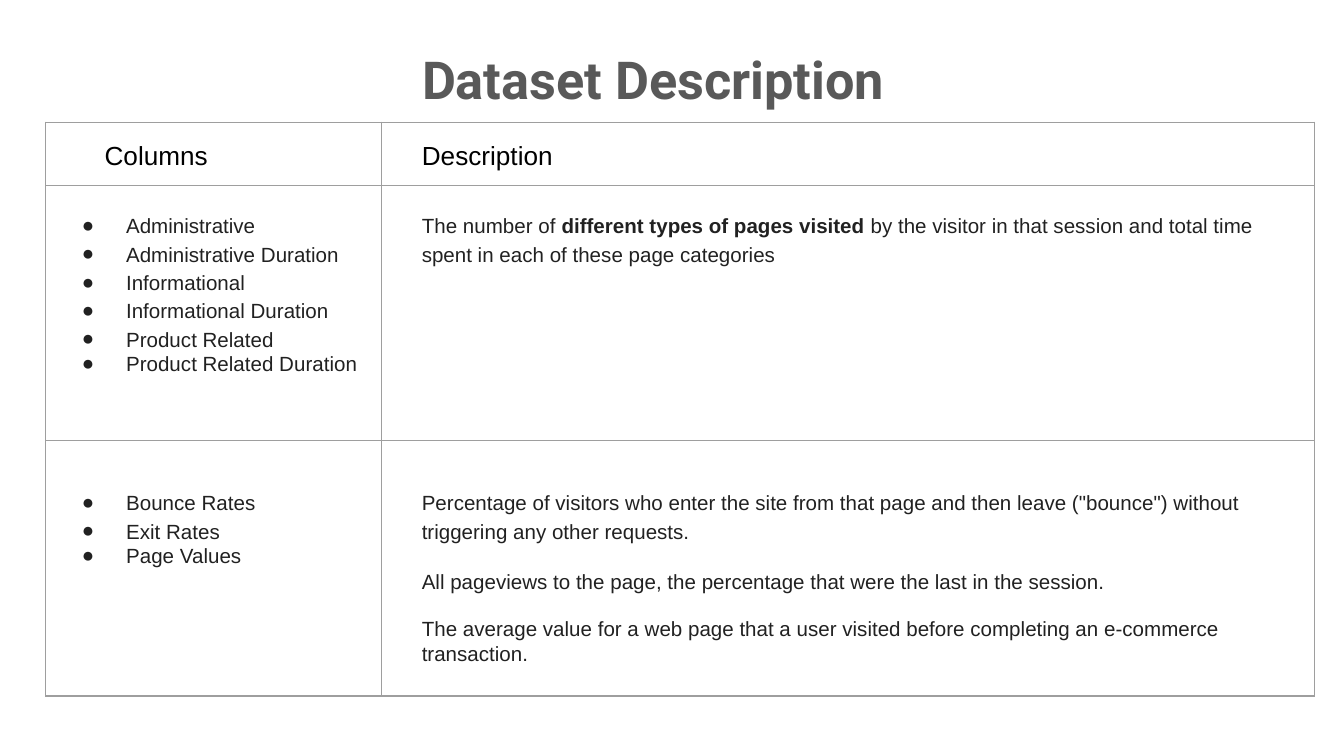
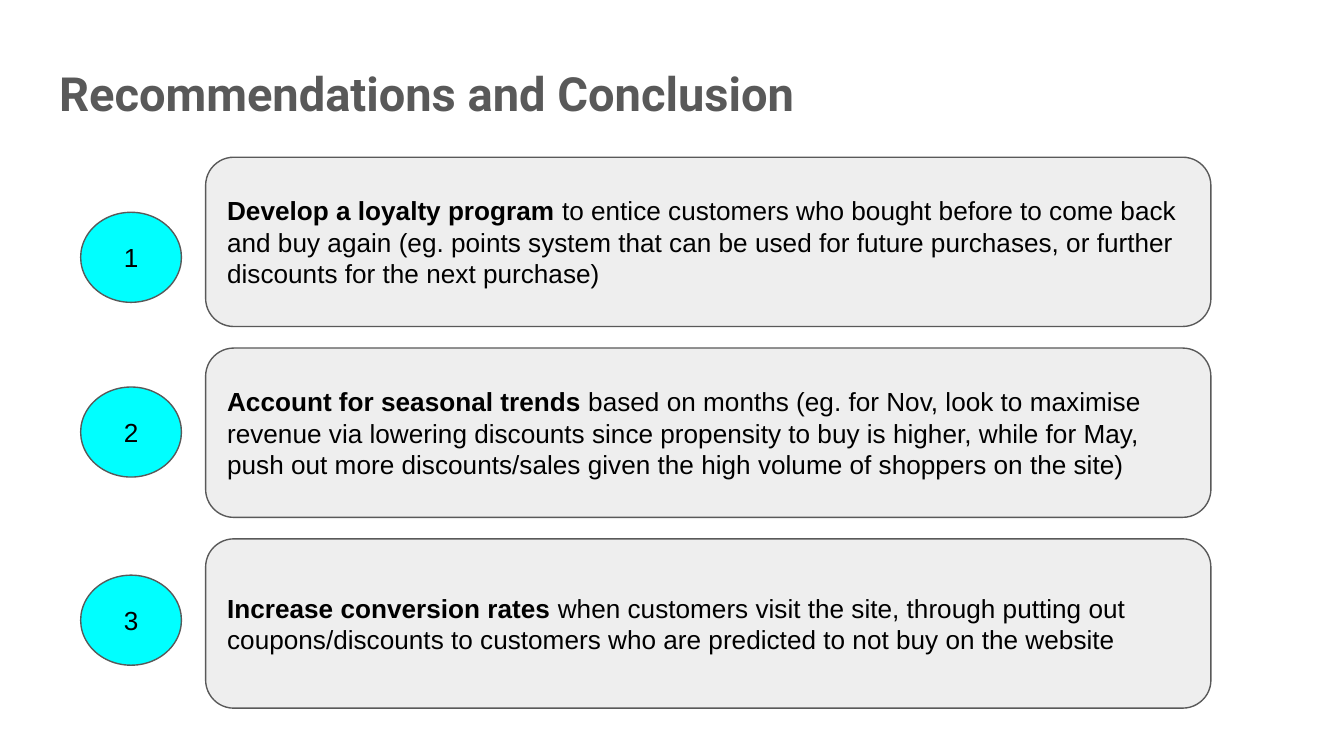
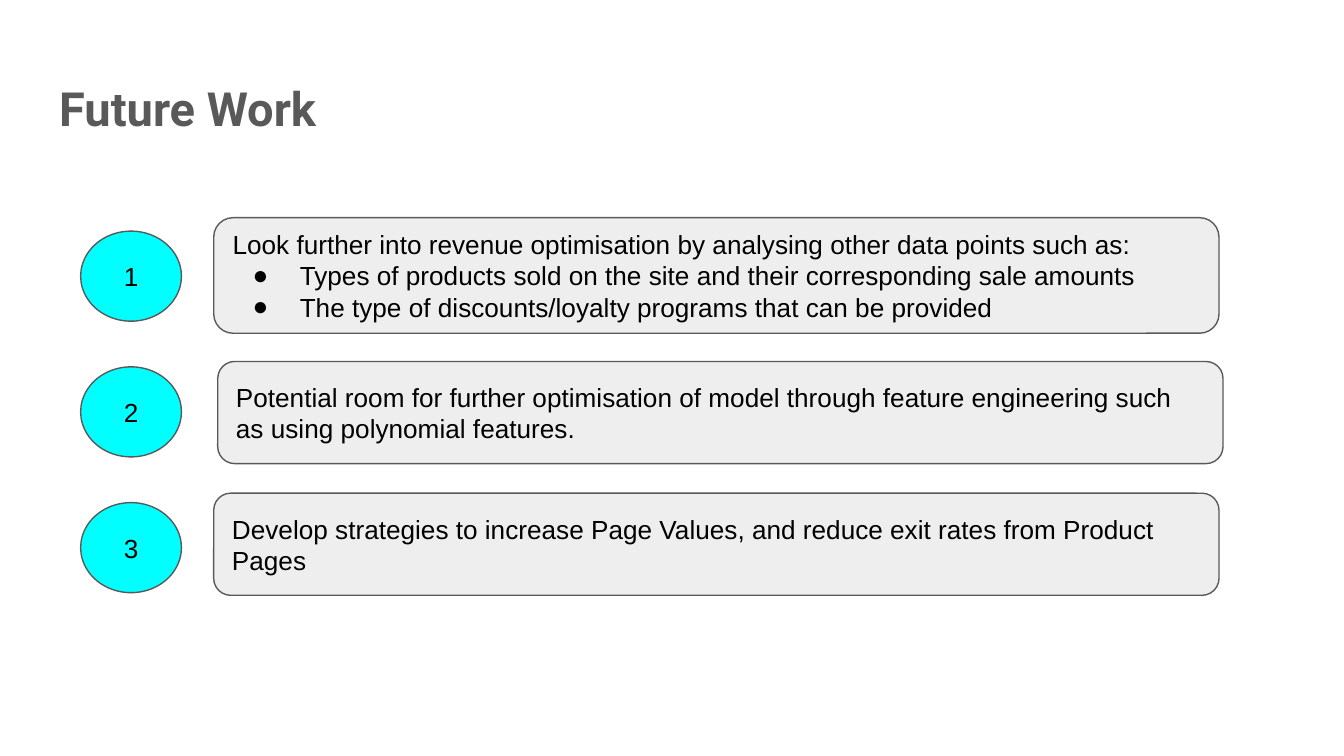
from lxml.etree import SubElement
from pptx import Presentation
from pptx.dml.color import RGBColor
from pptx.enum.shapes import MSO_SHAPE as Preset
from pptx.enum.text import MSO_ANCHOR as Anchor, MSO_AUTO_SIZE as AutoSize, PP_ALIGN as Align
from pptx.oxml.ns import qn
from pptx.util import Inches, Pt

WHITE = RGBColor(0xFF, 0xFF, 0xFF)
BLACK = RGBColor(0x00, 0x00, 0x00)
INK = RGBColor(0x21, 0x21, 0x21)
GRAY = RGBColor(0x59, 0x59, 0x59)
BORDER = RGBColor(0x9E, 0x9E, 0x9E)
PANEL = RGBColor(0xEE, 0xEE, 0xEE)
CYAN = RGBColor(0x00, 0xFF, 0xFF)
TITLE_FONT = "Roboto"
BODY_FONT = "Arial"


def add_solid(parent, tag, color):
    element = SubElement(parent, qn(tag))
    SubElement(element, qn("a:srgbClr"), val=str(color))
    return element


def write(paragraph, text, font=BODY_FONT, size=14, color=BLACK, bold=False,
          align=Align.LEFT, spacing=1.0, before=0, after=0, hanging=0):
    paragraph.alignment = align
    paragraph.line_spacing = spacing
    paragraph.space_before = Pt(before)
    paragraph.space_after = Pt(after)
    if hanging:
        properties = paragraph._p.get_or_add_pPr()
        properties.set("marL", str(Inches(0.5)))
        properties.set("indent", str(-Inches(hanging)))
        add_solid(properties, "a:buClr", color)
        SubElement(properties, qn("a:buFont"), typeface=BODY_FONT)
        SubElement(properties, qn("a:buChar"), char="●")
    for index, part in enumerate(text.split("**")):
        if part:
            run = paragraph.add_run()
            run.text = part
            run.font.name = font
            run.font.size = Pt(size)
            run.font.color.rgb = color
            run.font.bold = bold or index % 2 == 1


class Deck:
    def __init__(self):
        self.presentation = Presentation()
        self.presentation.slide_width = Inches(10)
        self.presentation.slide_height = Inches(10) * 9 // 16
        self.slide = None

    def add_slide(self):
        self.slide = self.presentation.slides.add_slide(self.presentation.slide_layouts[5])
        self.slide.background.fill.solid()
        self.slide.background.fill.fore_color.rgb = WHITE

    def fill_frame(self, shape, paragraphs, anchor, auto_size=AutoSize.NONE, **style):
        frame = shape.text_frame
        frame.word_wrap = True
        frame.auto_size = auto_size
        frame.vertical_anchor = anchor
        frame.margin_left = frame.margin_right = Inches(0.1)
        frame.margin_top = frame.margin_bottom = Inches(0.1)
        for index, (text, options) in enumerate(paragraphs):
            paragraph = frame.add_paragraph() if index else frame.paragraphs[0]
            write(paragraph, text, **{**style, **options})

    def title(self, text, left, top, width, height, size=25.2):
        title = self.slide.shapes.title
        title.left, title.top = Inches(left), Inches(top)
        title.width, title.height = Inches(width), Inches(height)
        self.fill_frame(title, [(text, {})], Anchor.TOP,
                        font=TITLE_FONT, size=size, color=GRAY, bold=True)

    def text(self, paragraphs, left, top, width, height, **style):
        box = self.slide.shapes.add_textbox(Inches(left), Inches(top), Inches(width), Inches(height))
        self.fill_frame(box, paragraphs, Anchor.TOP, AutoSize.SHAPE_TO_FIT_TEXT, **style)

    def bullets(self, items, left, top, width, height):
        paragraphs = [(item, {"spacing": 1.15}) for item in items]
        paragraphs[0][1]["before"] = 12
        paragraphs[-1][1]["spacing"] = 1.0
        self.text(paragraphs, left, top, width, height, size=11, color=INK, hanging=0.33)

    def shape(self, preset, paragraphs, left, top, width, height, fill, **style):
        shape = self.slide.shapes.add_shape(
            preset, Inches(left), Inches(top), Inches(width), Inches(height))
        shape.shadow.inherit = False
        shape.fill.solid()
        shape.fill.fore_color.rgb = fill
        shape.line.color.rgb = GRAY
        shape.line.width = Pt(0.75)
        self.fill_frame(shape, paragraphs, Anchor.MIDDLE, **style)

    def numbers(self, tops):
        for number, top in enumerate(tops, 1):
            self.shape(Preset.OVAL, [(str(number), {})], 0.6, top, 0.75, 0.67,
                       CYAN, align=Align.CENTER)

    def panel(self, paragraphs, left, top, height):
        self.shape(Preset.ROUNDED_RECTANGLE, paragraphs, left, top, 7.48, height, PANEL)

    def grid(self, left, top, widths, heights):
        table = self.slide.shapes.add_table(
            len(heights), len(widths), Inches(left), Inches(top),
            Inches(sum(widths)), Inches(sum(heights))).table
        table.first_row = table.horz_banding = False
        for column, width in zip(table.columns, widths):
            column.width = Inches(width)
        for row, height in zip(table.rows, heights):
            row.height = Inches(height)
        for cell in table.iter_cells():
            properties = cell._tc.get_or_add_tcPr()
            for side in ("a:lnL", "a:lnR", "a:lnT", "a:lnB"):
                line = SubElement(properties, qn(side), w=str(Pt(0.75)))
                add_solid(line, "a:solidFill", BORDER)
            cell.fill.background()


deck = Deck()

deck.add_slide()
deck.title("Dataset Description", 3.04, 0.25, 4.04, 0.73, size=28)
deck.grid(0.34, 0.91, [2.5, 6.94], [0.47, 1.9, 1.9])
deck.text([("Columns", {})], 0.68, 0.94, 1.03, 0.44)
deck.text([("Description", {})], 3.04, 0.94, 3.48, 0.44)
deck.bullets(["Administrative ", "Administrative Duration ", "Informational",
              "Informational Duration", "Product Related", "Product Related Duration"],
             0.34, 1.46, 2.44, 1.45)
deck.bullets(["Bounce Rates", "Exit Rates", "Page Values"], 0.34, 3.52, 3.48, 0.81)
deck.text([("The number of **different types of pages visited** by the visitor in that session "
            "and total time spent in each of these page categories", {"after": 12})],
          3.04, 1.46, 6.46, 0.6, size=11, color=INK, spacing=1.15, before=12)
deck.text([("Percentage of visitors who enter the site from that page and then leave (\"bounce\") "
            "without triggering any other requests.", {}),
           ("All pageviews to the page, the percentage that were the last in the session.", {}),
           ("The average value for a web page that a user visited before completing an "
            "e-commerce transaction.", {"spacing": 1.0})],
          3.04, 3.52, 6.5, 1.55, size=11, color=INK, spacing=1.15, before=12)

deck.add_slide()
deck.title("Recommendations and Conclusion", 0.34, 0.38, 9.32, 0.63)
deck.numbers([1.58, 2.88, 4.28])
recommendations = [
    "**Develop a loyalty program** to entice customers who bought before to come back and buy "
    "again (eg. points system that can be used for future purchases, or further discounts for "
    "the next purchase)",
    "**Account for seasonal trends** based on months (eg. for Nov, look to maximise revenue via "
    "lowering discounts since propensity to buy is higher, while for May, push out more "
    "discounts/sales given the high volume of shoppers on the site)",
    "**Increase conversion rates **when customers visit the site, through putting out "
    "coupons/discounts to customers who are predicted to not buy on the website",
]
for index, recommendation in enumerate(recommendations):
    deck.panel([(recommendation, {})], 1.53, 1.17 + 1.42 * index, 1.26)

deck.add_slide()
deck.title("Future Work", 0.34, 0.49, 9.32, 0.63)
deck.numbers([1.72 + 1.01 * index for index in range(3)])
deck.panel([("Look further into revenue optimisation by analysing other data points such as:", {}),
            ("Types of products sold on the site and their corresponding sale amounts",
             {"hanging": 0.35}),
            ("The type of discounts/loyalty programs that can be provided", {"hanging": 0.35})],
           1.59, 1.62, 0.86)
deck.panel([("Potential room for further optimisation of model through feature engineering such "
             "as using polynomial features.", {})], 1.62, 2.69, 0.76)
deck.panel([("Develop strategies to increase Page Values, and reduce exit rates from Product "
             "Pages", {})], 1.59, 3.67, 0.76)

deck.presentation.save("out.pptx")
